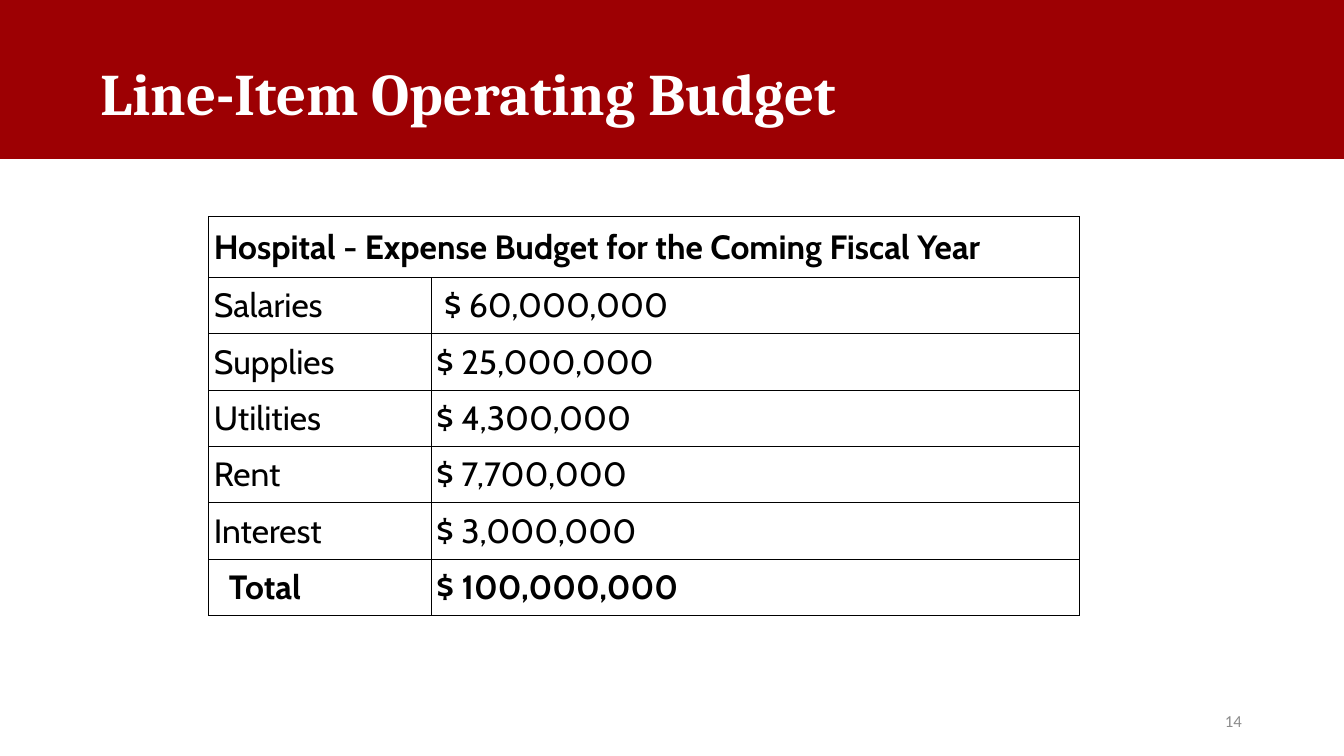
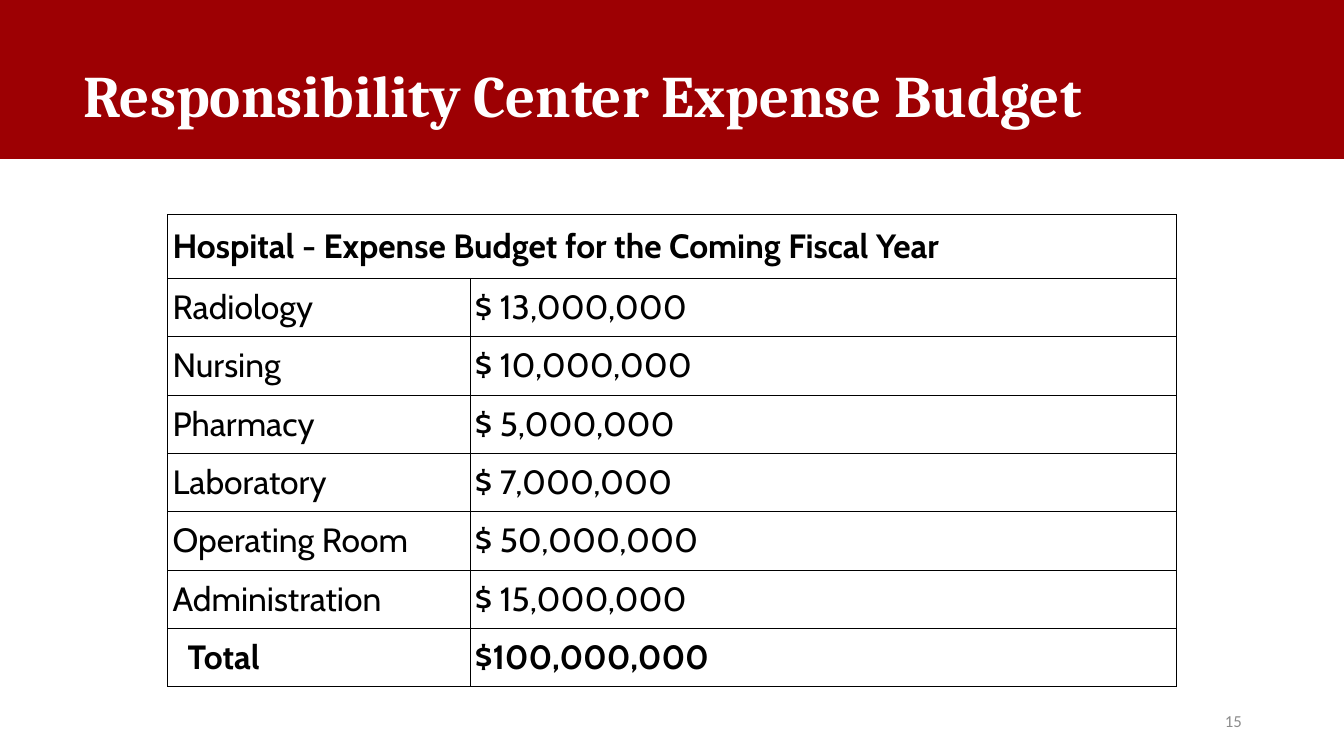
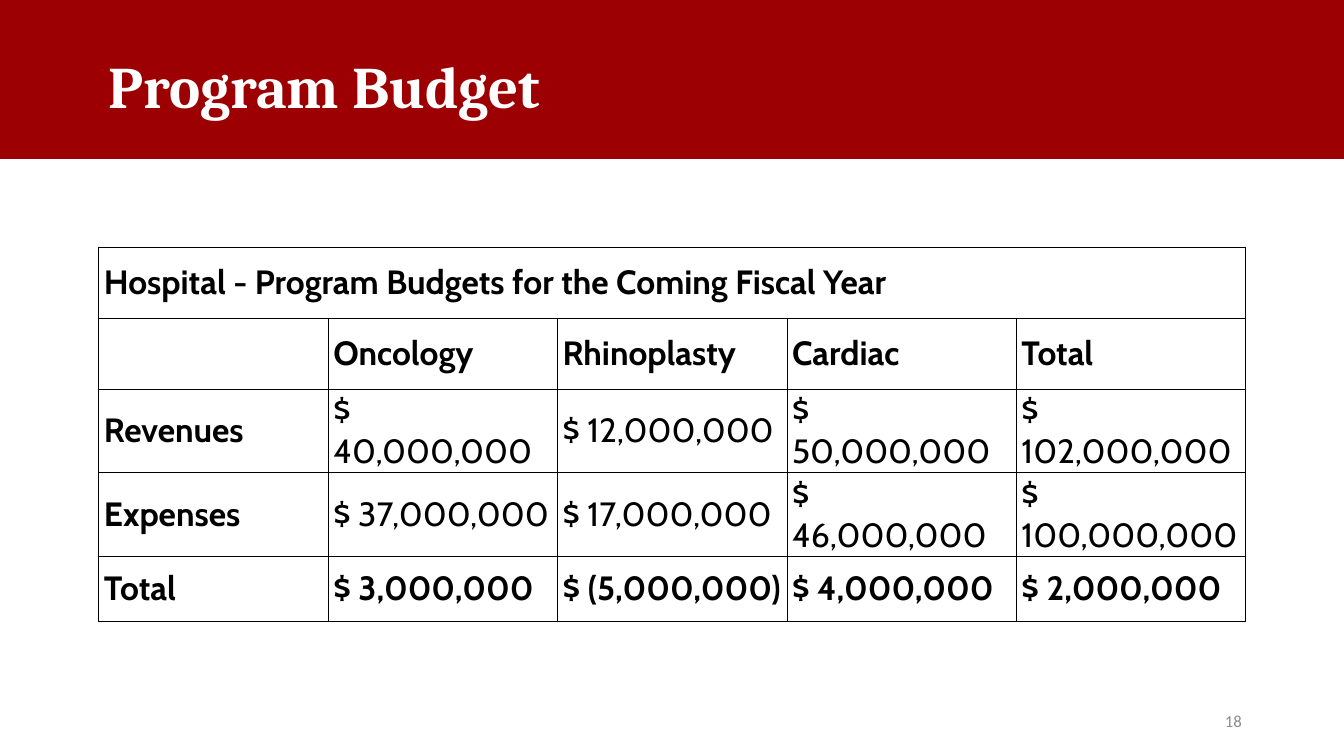
from lxml import etree
from pptx import Presentation
from pptx import util as u
from pptx.dml import color
from pptx.enum import shapes, text
from pptx.oxml import ns


def rgb(value):
    return color.RGBColor.from_string(value)


class BudgetDeck:
    RED, WHITE, BLACK, GREY = "9D0003", "FFFFFF", "000000", "8C8C8C"
    TITLE_FONT, TABLE_FONT, NUMBER_FONT = "Cambria", "Cabin", "Calibri"
    WIDTH, HEIGHT, BAND_HEIGHT = 33.87, 19.05, 3.99
    CELL_INSET = 0.13

    def __init__(self):
        self.deck = Presentation()
        self.deck.slide_width = u.Cm(self.WIDTH)
        self.deck.slide_height = u.Cm(self.HEIGHT)
        self.slide = None

    def start(self, title, title_box, number):
        self.slide = self.deck.slides.add_slide(self.deck.slide_layouts[6])
        self.band()
        heading = self.label(title, title_box, self.TITLE_FONT, 42, self.WHITE, True)
        heading.line_spacing = 0.9
        footer = self.label(number, (23.93, 17.65, 7.62, 1.02),
                            self.NUMBER_FONT, 12, self.GREY)
        footer.alignment = text.PP_ALIGN.RIGHT

    def band(self):
        band = self.slide.shapes.add_shape(
            shapes.MSO_SHAPE.RECTANGLE, 0, 0, u.Cm(self.WIDTH), u.Cm(self.BAND_HEIGHT))
        band.shadow.inherit = False
        band.fill.solid()
        band.fill.fore_color.rgb = rgb(self.RED)
        band.line.color.rgb = rgb(self.RED)
        band.line.width = u.Pt(1)

    def label(self, wording, box, font, size, colour, bold=False):
        frame = self.slide.shapes.add_textbox(*map(u.Cm, box)).text_frame
        frame.word_wrap = True
        frame.vertical_anchor = text.MSO_ANCHOR.MIDDLE
        paragraph = frame.paragraphs[0]
        self.run(paragraph, wording, font, size, colour, bold)
        return paragraph

    def run(self, paragraph, wording, font, size, colour, bold):
        run = paragraph.add_run()
        run.text = wording
        run.font.name = font
        run.font.size = u.Pt(size)
        run.font.bold = bold
        run.font.color.rgb = rgb(colour)

    def table(self, left, top, widths, heights, rows, is_bold, heading_rows=1, indents=None):
        indents = indents or {}
        table = self.slide.shapes.add_table(
            len(rows), len(widths), u.Cm(left), u.Cm(top),
            u.Cm(sum(widths)), u.Cm(sum(heights))).table
        table.first_row = table.horz_banding = False
        for column, width in zip(table.columns, widths):
            column.width = u.Cm(width)
        for row, height in zip(table.rows, heights):
            row.height = u.Cm(height)
        table.cell(0, 0).merge(table.cell(0, len(widths) - 1))
        for r in range(len(rows)):
            for c in range(len(widths)):
                wording = rows[r][c] if c < len(rows[r]) else ""
                cell = table.cell(r, c)
                self.cell(cell, wording, is_bold(r, c), r < heading_rows)
                cell.margin_left = u.Cm(self.CELL_INSET + indents.get((r, c), 0))

    def cell(self, cell, wording, bold, heading):
        cell.vertical_anchor = text.MSO_ANCHOR.MIDDLE
        cell.margin_right = u.Cm(self.CELL_INSET)
        cell.margin_top = u.Cm(0.08 if heading else 0.04)
        cell.margin_bottom = u.Cm(0.08 if heading else 0.03)
        cell.fill.background()
        self.borders(cell)
        if wording:
            self.run(cell.text_frame.paragraphs[0], wording,
                     self.TABLE_FONT, 24, self.BLACK, bold)

    def borders(self, cell):
        properties = cell._tc.get_or_add_tcPr()
        for position, side in enumerate(("lnL", "lnR", "lnT", "lnB")):
            line = etree.Element(ns.qn(f"a:{side}"), w=str(u.Pt(0.5)))
            fill = etree.SubElement(line, ns.qn("a:solidFill"))
            etree.SubElement(fill, ns.qn("a:srgbClr"), val=self.BLACK)
            properties.insert(position, line)

    def expense_table(self, left, top, widths, heading_height, row_height, rows, indents):
        last = len(rows)
        self.table(left, top, widths, [heading_height] + [row_height] * last,
                   [("Hospital - Expense Budget for the Coming Fiscal Year",), *rows],
                   lambda r, c: r in (0, last), indents={(last, 0): 0.38, **indents})

    def save(self):
        self.deck.save("out.pptx")


def main():
    budget = BudgetDeck()

    budget.start("Line-Item Operating Budget", (2.29, 0.58, 29.21, 3.68), "14")
    budget.expense_table(5.26, 5.46, (5.61, 16.33), 1.53, 1.42, [
        ("Salaries", "$ 60,000,000"),
        ("Supplies", "$ 25,000,000"),
        ("Utilities", "$ 4,300,000"),
        ("Rent", "$ 7,700,000"),
        ("Interest", "$ 3,000,000"),
        ("Total", "$ 100,000,000"),
    ], {(1, 1): 0.19})

    budget.start("Responsibility Center Expense Budget", (1.85, 0.64, 29.21, 3.68), "15")
    budget.expense_table(4.22, 5.41, (7.62, 17.81), 1.6, 1.47, [
        ("Radiology", "$ 13,000,000"),
        ("Nursing", "$ 10,000,000"),
        ("Pharmacy", "$ 5,000,000"),
        ("Laboratory", "$ 7,000,000"),
        ("Operating Room", "$ 50,000,000"),
        ("Administration", "$ 15,000,000"),
        ("Total", "$100,000,000"),
    ], {})

    budget.start("Program Budget", (2.49, 0.97, 21.23, 2.59), "18")
    programs = [
        ("Hospital - Program Budgets for the Coming Fiscal Year",),
        ("", "Oncology", "Rhinoplasty", "Cardiac", "Total"),
        ("Revenues", "$ 40,000,000", "$ 12,000,000", "$ 50,000,000", "$ 102,000,000"),
        ("Expenses", "$ 37,000,000", "$ 17,000,000", "$ 46,000,000", "$ 100,000,000"),
        ("Total", "$ 3,000,000", "$ (5,000,000)", "$ 4,000,000", "$ 2,000,000"),
    ]
    budget.table(2.49, 6.22, [5.78] * 5, [1.79] * 2 + [1.66] * 3, programs,
                 lambda r, c: c == 0 or r in (0, 1, 4), heading_rows=2)

    budget.save()


if __name__ == "__main__":
    main()
